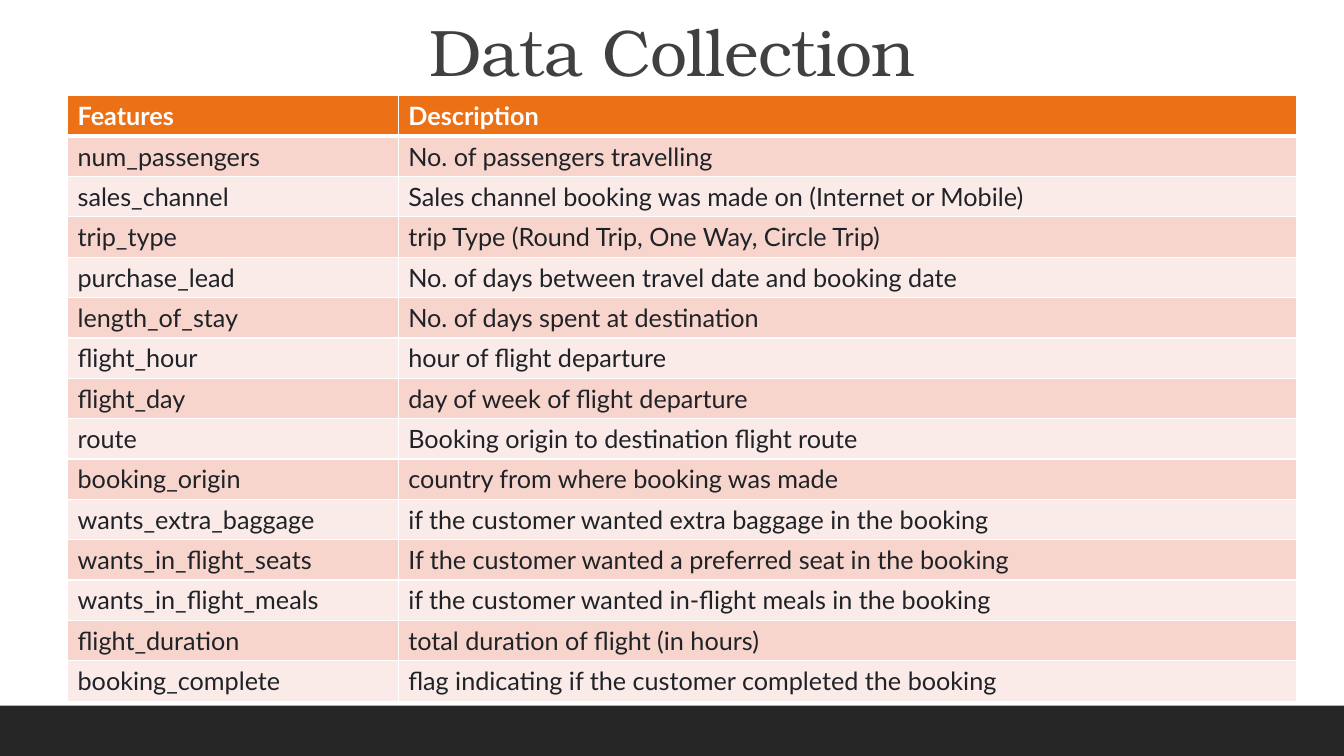
from lxml.etree import SubElement
from pptx import Presentation
from pptx.dml.color import RGBColor
from pptx.enum.shapes import MSO_SHAPE
from pptx.enum.text import MSO_ANCHOR, PP_ALIGN
from pptx.oxml.ns import qn
from pptx.util import Inches, Pt

# Content
TITLE = "Data Collection"
HEADER = ("Features", "Description")
FEATURES = [
    ("num_passengers", "No. of passengers travelling"),
    ("sales_channel", "Sales channel booking was made on (Internet or Mobile)"),
    ("trip_type", "trip Type (Round Trip, One Way, Circle Trip)"),
    ("purchase_lead", "No. of days between travel date and booking date"),
    ("length_of_stay", "No. of days spent at destination"),
    ("flight_hour", "hour of flight departure"),
    ("flight_day", "day of week of flight departure"),
    ("route", "Booking origin to destination flight route"),
    ("booking_origin", "country from where booking was made"),
    ("wants_extra_baggage", "if the customer wanted extra baggage in the booking"),
    ("wants_in_flight_seats", "If the customer wanted a preferred seat in the booking"),
    ("wants_in_flight_meals", "if the customer wanted in-flight meals in the booking"),
    ("flight_duration", "total duration of flight (in hours)"),
    ("booking_complete", "flag indicating if the customer completed the booking"),
]

# Style
WHITE = RGBColor(0xFF, 0xFF, 0xFF)
ORANGE = RGBColor(0xEC, 0x70, 0x16)
PINK = RGBColor(0xF8, 0xD5, 0xCC)
PALE_PINK = RGBColor(0xFB, 0xEB, 0xE8)
INK = RGBColor(0x1F, 0x23, 0x28)
TITLE_GRAY = RGBColor(0x40, 0x40, 0x40)
FOOTER_GRAY = RGBColor(0x26, 0x26, 0x26)
COLUMN_WIDTHS = (3.28, 8.91)
ROW_HEIGHT = 0.4


def write_text(frame, text, *, font, size, color, bold=False,
               align=PP_ALIGN.LEFT, line_spacing=None, tracking=None):
    paragraph = frame.paragraphs[0]
    paragraph.alignment = align
    paragraph.line_spacing = line_spacing
    run = paragraph.add_run()
    run.text = text
    run.font.name = font
    run.font.size = Pt(size)
    run.font.bold = bold
    run.font.color.rgb = color
    if tracking is not None:
        run.font._element.set("spc", str(int(tracking * 100)))


def set_borders(cell, bottom_width):
    properties = cell._tc.get_or_add_tcPr()
    for side, width in (("L", 1), ("R", 1), ("T", 1), ("B", bottom_width)):
        line = SubElement(properties, qn(f"a:ln{side}"), w=str(Pt(width)))
        fill = SubElement(line, qn("a:solidFill"))
        SubElement(fill, qn("a:srgbClr"), val=str(WHITE))


def main():
    presentation = Presentation()
    presentation.slide_width = Inches(13.33)
    presentation.slide_height = Inches(7.5)
    slide = presentation.slides.add_slide(presentation.slide_layouts[6])

    # Footer band
    footer = slide.shapes.add_shape(
        MSO_SHAPE.RECTANGLE, 0, Inches(7), presentation.slide_width, Inches(0.5))
    footer.shadow.inherit = False
    footer.fill.solid()
    footer.fill.fore_color.rgb = FOOTER_GRAY
    footer.line.fill.background()

    # Title
    title = slide.shapes.add_textbox(Inches(1.17), 0, Inches(11), Inches(0.95))
    title.text_frame.word_wrap = True
    title.text_frame.vertical_anchor = MSO_ANCHOR.BOTTOM
    write_text(title.text_frame, TITLE, font="TeX Gyre Bonum", size=47,
               color=TITLE_GRAY, align=PP_ALIGN.CENTER, line_spacing=0.9,
               tracking=-0.5)

    # Feature table
    rows = [HEADER, *FEATURES]
    table = slide.shapes.add_table(
        len(rows), len(HEADER), Inches(0.67), Inches(0.95),
        Inches(sum(COLUMN_WIDTHS)), Inches(ROW_HEIGHT * len(rows))).table
    for column, width in zip(table.columns, COLUMN_WIDTHS):
        column.width = Inches(width)
    for row_index, row in enumerate(rows):
        is_header = row_index == 0
        band = ORANGE if is_header else (PALE_PINK, PINK)[row_index % 2]
        for column_index, text in enumerate(row):
            cell = table.cell(row_index, column_index)
            set_borders(cell, bottom_width=3 if is_header else 1)
            cell.fill.solid()
            cell.fill.fore_color.rgb = band
            write_text(cell.text_frame, text, font="Lato", size=18,
                       color=WHITE if is_header else INK, bold=is_header)

    presentation.save("out.pptx")


if __name__ == "__main__":
    main()
